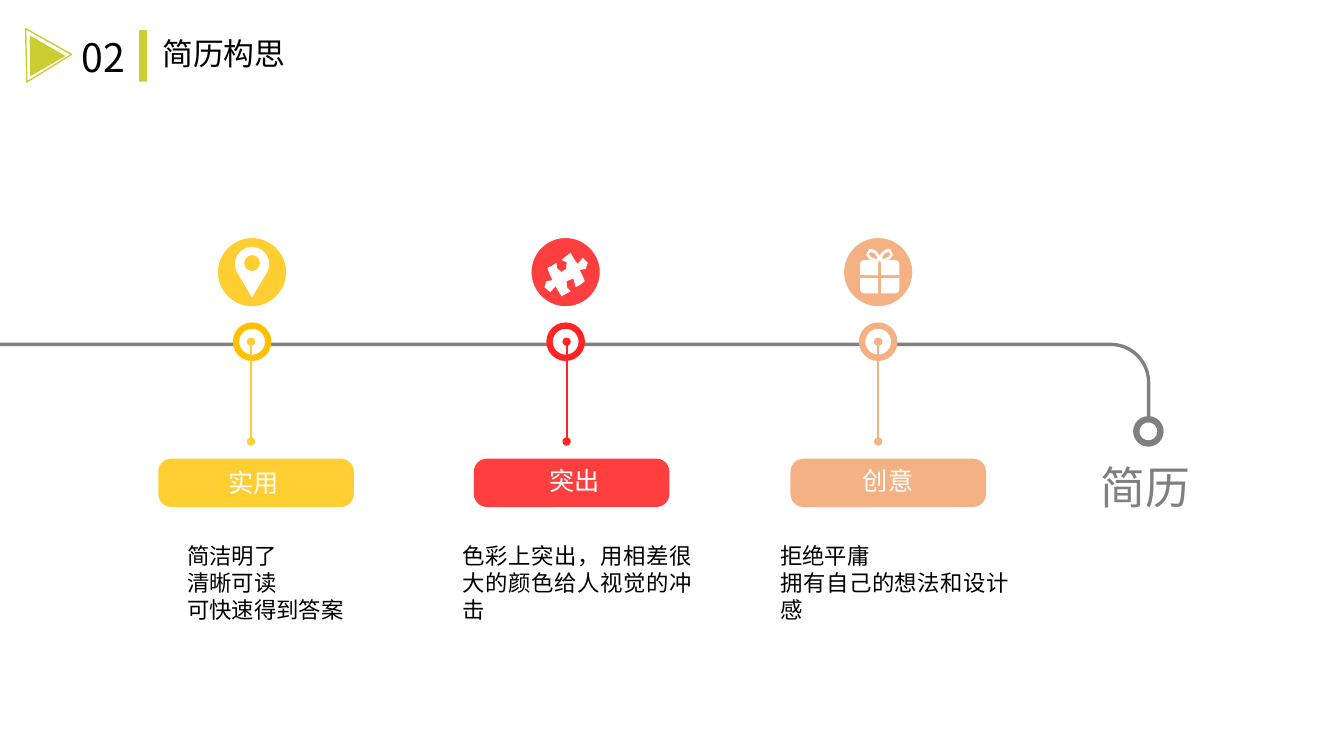
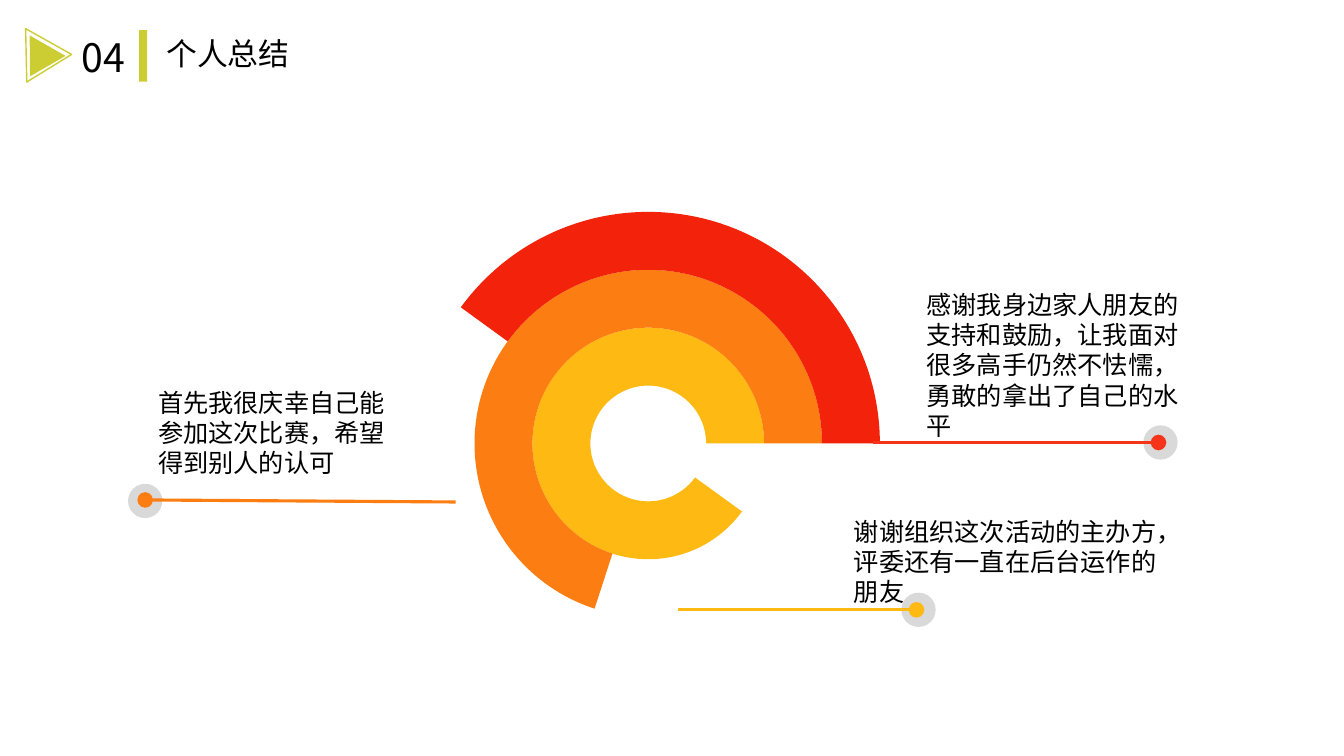
"""Build two slides: a resume-planning timeline and a personal summary."""
from math import cos, radians, sin

from lxml import etree
from pptx import Presentation
from pptx.chart.data import CategoryChartData
from pptx.dml.color import RGBColor
from pptx.enum.chart import XL_CHART_TYPE
from pptx.enum.lang import MSO_LANGUAGE_ID
from pptx.enum.shapes import MSO_CONNECTOR, MSO_SHAPE
from pptx.enum.text import MSO_ANCHOR, PP_ALIGN
from pptx.oxml.ns import qn
from pptx.util import Inches, Pt

OVAL, RECT = MSO_SHAPE.OVAL, MSO_SHAPE.RECTANGLE
PILL, TRIANGLE = MSO_SHAPE.ROUNDED_RECTANGLE, MSO_SHAPE.ISOSCELES_TRIANGLE
BENT_ARROW = MSO_SHAPE.BENT_ARROW
STRAIGHT = MSO_CONNECTOR.STRAIGHT
DOUGHNUT = XL_CHART_TYPE.DOUGHNUT
LEFT, JUSTIFY = PP_ALIGN.LEFT, PP_ALIGN.JUSTIFY
TOP = MSO_ANCHOR.TOP
CHINESE = MSO_LANGUAGE_ID.SIMPLIFIED_CHINESE

BODY_FONT, NUMBER_FONT = "Arial", "Noto Sans CJK SC"
COLORS = {
    "black": "000000", "white": "FFFFFF", "lime": "CCCC33",
    "road": "808080", "goal": "7F7F7F", "halo": "D9D9D9",
    "gold": "FFCE33", "gold_ring": "FFC000",
    "red": "FF3F3F", "red_ring": "FF2525", "peach": "F4B183",
    "chart_yellow": "FEB912", "chart_orange": "FC7E13",
    "chart_red": "F2230A", "line_red": "F6341A",
}
MILESTONES = [
    {"label": "实用", "fill": "gold", "ring": "gold_ring", "stem": "gold",
     "x": 2.5, "stem_x": 2.49, "pill_x": 1.57, "label_at": (2.17, 4.59),
     "text_x": 1.76, "text": "简洁明了\n清晰可读\n可快速得到答案"},
    {"label": "突出", "fill": "red", "ring": "red_ring", "stem": "red_ring",
     "x": 5.61, "stem_x": 5.62, "pill_x": 4.7, "label_at": (5.35, 4.57),
     "text_x": 4.49, "text": "色彩上突出，用相差很大的颜色给人视觉的冲击"},
    {"label": "创意", "fill": "peach", "ring": "peach", "stem": "peach",
     "x": 8.71, "stem_x": 8.71, "pill_x": 7.84, "label_at": (8.46, 4.57),
     "text_x": 7.64, "text": "拒绝平庸\n拥有自己的想法和设计感"},
]
CALLOUTS = [
    ((8.66, 4.39), (11.49, 4.39), (11.51, 4.39), "line_red", (9.09, 2.82, 2.89, 1.61),
     "感谢我身边家人朋友的支持和鼓励，让我面对很多高手仍然不怯懦，勇敢的拿出了自己的水平"),
    ((4.52, 4.98), (1.44, 4.96), (1.44, 4.97), "chart_orange", (1.47, 3.79, 2.54, 1.01),
     "首先我很庆幸自己能参加这次比赛，希望得到别人的认可"),
    ((6.72, 6.05), (9.09, 6.05), (9.11, 6.05), "chart_yellow", (8.37, 5.07, 3.31, 1.01),
     "谢谢组织这次活动的主办方，评委还有一直在后台运作的朋友"),
]
RINGS = [
    ((10, 90, 0, 0), {0: None, 1: "chart_yellow"}),
    ((0, 30, 70, 0), {1: None, 2: "chart_orange"}),
    ((0, 0, 60, 40), {2: None, 3: "chart_red"}),
    ((None,) * 4, {}),
]
PUZZLE = [
    (5.66, 2.51),
    (5.68, 2.54, 5.71, 2.61, 5.73, 2.62),
    (5.74, 2.55, 5.82, 2.53, 5.83, 2.61), (5.85, 2.69, 5.78, 2.66, 5.75, 2.68),
    (5.77, 2.72, 5.79, 2.75, 5.8, 2.79), (5.78, 2.81, 5.74, 2.84, 5.71, 2.85),
    (5.72, 2.77, 5.67, 2.72, 5.62, 2.79),
    (5.57, 2.84, 5.67, 2.87, 5.66, 2.89), (5.63, 2.91, 5.6, 2.92, 5.57, 2.94),
    (5.55, 2.91, 5.53, 2.87, 5.51, 2.84),
    (5.49, 2.89, 5.43, 2.94, 5.4, 2.85), (5.38, 2.78, 5.44, 2.79, 5.48, 2.78),
    (5.46, 2.74, 5.44, 2.7, 5.43, 2.66),
    (5.45, 2.65, 5.49, 2.63, 5.52, 2.61), (5.54, 2.63, 5.5, 2.7, 5.57, 2.7),
    (5.61, 2.7, 5.64, 2.64, 5.62, 2.6), (5.6, 2.59, 5.58, 2.59, 5.57, 2.58),
    (5.6, 2.55, 5.63, 2.53, 5.66, 2.51),
]
BOW_HOLE = [
    (8.81, 2.5),
    (8.82, 2.5, 8.83, 2.51, 8.83, 2.52),
    (8.83, 2.53, 8.82, 2.54, 8.81, 2.55), (8.8, 2.56, 8.77, 2.57, 8.75, 2.57),
    (8.75, 2.56, 8.75, 2.54, 8.77, 2.52), (8.78, 2.51, 8.8, 2.5, 8.81, 2.5),
]
BOW_EDGE = [
    (8.81, 2.47),
    (8.79, 2.47, 8.77, 2.48, 8.75, 2.5), (8.72, 2.52, 8.7, 2.57, 8.73, 2.6),
    (8.75, 2.6, 8.81, 2.59, 8.83, 2.57),
    (8.86, 2.55, 8.87, 2.51, 8.84, 2.49), (8.84, 2.47, 8.82, 2.47, 8.81, 2.47),
]


def color(name):
    """Return the named colour."""
    return RGBColor.from_string(COLORS[name])


def paint(sp, fill=None, line=None, width=1):
    """Set fill and outline, with no shadow."""
    sp.shadow.inherit = False
    if fill:
        sp.fill.solid()
        sp.fill.fore_color.rgb = color(fill)
    else:
        sp.fill.background()
    if line:
        sp.line.color.rgb = color(line)
        sp.line.width = Pt(width)
    else:
        sp.line.fill.background()
    return sp


def add_shape(shapes, kind, box, adj=(), rotation=0, **style):
    """Add a painted preset shape."""
    sp = shapes.add_shape(kind, *map(Inches, box))
    for i, value in enumerate(adj):
        sp.adjustments[i] = value
    sp.rotation = rotation
    return paint(sp, **style)


def add_circle(shapes, x, y, size, **style):
    """Add a circle around a centre point."""
    return add_shape(shapes, OVAL, (x - size / 2, y - size / 2, size, size), **style)


def add_outline(shapes, *contours):
    """Add a white freeform made of closed contours."""
    paths = [[(Inches(x), Inches(y)) for x, y in points] for points in contours]
    builder = shapes.build_freeform(*paths[0][0])
    for i, points in enumerate(paths):
        if i:
            builder.move_to(*points[0])
        builder.add_line_segments(points[1:])
    return paint(builder.convert_to_shape(), "white")


def add_line(shapes, start, end, name, width, ends, size="med"):
    """Add a straight line with oval ends."""
    line = shapes.add_connector(STRAIGHT, *map(Inches, start + end))
    line.line.color.rgb = color(name)
    line.line.width = Pt(width)
    ln = line.element.spPr.find(qn("a:ln"))
    for end_name in ends:
        etree.SubElement(ln, qn(f"a:{end_name}"), type="oval", w=size, len=size)
    etree.SubElement(line.element.spPr, qn("a:effectLst"))


def write(tf, text, size=16, name="black", font=BODY_FONT, align=LEFT):
    """Write formatted paragraphs into a text frame."""
    tf.word_wrap = True
    tf.vertical_anchor = TOP
    for i, line in enumerate(text.split("\n")):
        p = tf.add_paragraph() if i else tf.paragraphs[0]
        p.alignment = align
        p.line_spacing = Pt(size * 1.2)
        p.space_before = Pt(0)
        r = p.add_run()
        r.text = line
        r.font.name = font
        r.font.size = Pt(size)
        r.font.color.rgb = color(name)
        r.font.language_id = CHINESE


def add_text(shapes, box, text, **style):
    """Add a text box."""
    write(shapes.add_textbox(*map(Inches, box)).text_frame, text, **style)


def arc(x, y, radius, start, end, steps):
    """Return points along a circular arc, in degrees."""
    angles = [radians(start + (end - start) * i / steps) for i in range(steps + 1)]
    return [(x + radius * cos(a), y + radius * sin(a)) for a in angles]


def bezier(curves, steps=2):
    """Return points along a start point and its cubic curves."""
    points = [curves[0]]
    for x1, y1, x2, y2, x3, y3 in curves[1:]:
        x0, y0 = points[-1]
        for t in (i / steps for i in range(1, steps + 1)):
            u = 1 - t
            a, b, c, d = u ** 3, 3 * u * u * t, 3 * u * t * t, t ** 3
            points.append((a * x0 + b * x1 + c * x2 + d * x3,
                           a * y0 + b * y1 + c * y2 + d * y3))
    return points


def mirror(points, x_axis=None, y_axis=None):
    """Reflect points about a vertical and a horizontal axis."""
    return [(x if x_axis is None else 2 * x_axis - x,
             y if y_axis is None else 2 * y_axis - y) for x, y in points]


def draw_pin(shapes):
    """Draw a map pin."""
    add_outline(shapes, arc(2.5, 2.62, 0.17, 155, 385, 12) + [(2.5, 2.95)],
                arc(2.5, 2.61, 0.08, 360, 0, 12))


def draw_puzzle(shapes):
    """Draw a puzzle piece."""
    add_outline(shapes, bezier(PUZZLE))


def draw_gift(shapes):
    """Draw a gift box with a bow."""
    x, y = (8.71 + 8.74) / 2, (2.73 + 2.76) / 2
    loop = [bezier(BOW_EDGE), bezier(BOW_HOLE)]
    quarter = [(8.74, 2.76), (8.92, 2.76), *arc(8.88, 2.87, 0.04, 0, 90, 2), (8.74, 2.91)]
    for x_axis in (None, x):
        add_outline(shapes, *(mirror(points, x_axis) for points in loop))
        for y_axis in (None, y):
            add_outline(shapes, mirror(quarter, x_axis, y_axis))


def add_slide(prs, number, title, title_x, title_width):
    """Add a slide with the shared header."""
    s = prs.slides.add_slide(prs.slide_layouts[5])
    add_shape(s.shapes, RECT, (1.38, 0.3, 0.08, 0.51), fill="lime")
    add_text(s.shapes, (0.71, 0.28, 0.75, 0.57), number, size=28, font=NUMBER_FONT)
    logo = s.shapes.add_group_shape().shapes
    add_shape(logo, TRIANGLE, (0.22, 0.32, 0.53, 0.45), rotation=88.8, line="lime")
    add_shape(logo, TRIANGLE, (0.18, 0.43, 0.41, 0.35), rotation=209.8, fill="lime")
    sp = s.shapes.title
    sp.left, sp.top, sp.width, sp.height = map(Inches, (title_x, 0.29, title_width, 0.47))
    write(sp.text_frame, title, size=22)
    return s


def add_milestone(s, item, draw_icon):
    """Add one stop of the timeline."""
    x = item["x"]
    add_circle(s.shapes, x, 3.39, 0.32, fill="white", line=item["ring"], width=4.5)
    icon = s.shapes.add_group_shape().shapes
    add_circle(icon, x, 2.7, 0.74, fill=item["fill"], line="white", width=4.5)
    draw_icon(icon)
    add_line(s.shapes, (item["stem_x"], 3.39), (item["stem_x"], 4.38), item["stem"],
             1.5, ("headEnd", "tailEnd"))
    tag = s.shapes.add_group_shape().shapes
    add_shape(tag, PILL, (item["pill_x"], 4.55, 1.94, 0.48), [0.27], fill=item["fill"])
    add_text(tag, (*item["label_at"], 2.24, 0.4), item["label"], size=18, name="white")
    add_text(s.shapes, (item["text_x"], 5.33, 2.47, 0.91), item["text"], align=JUSTIFY)


def add_rings(s):
    """Add the doughnut chart of partial rings."""
    data = CategoryChartData()
    data.categories = ["1", "2", "3", "4"]
    for i, (values, _) in enumerate(RINGS, 1):
        data.add_series(f"Series {i}", values)
    chart = s.shapes.add_chart(DOUGHNUT, *map(Inches, (1.98, 1.39, 8.9, 6.02)), data).chart
    chart.has_legend = chart.has_title = False
    chart.font.name, chart.font.size = BODY_FONT, Pt(10)
    chart.font.color.rgb = color("black")
    plot = chart.plots[0]
    plot.vary_by_categories = True
    plot.has_data_labels = False
    for tag, value in (("firstSliceAng", "90"), ("holeSize", "50")):
        next(chart.element.iter(qn(f"c:{tag}"))).set("val", value)
    for series, (_, fills) in zip(plot.series, RINGS):
        for i, name in fills.items():
            paint_slice(series.points[i].format, name)


def paint_slice(style, name):
    """Fill a chart slice, or clear it, with no outline."""
    style.line.fill.background()
    if name:
        style.fill.solid()
        style.fill.fore_color.rgb = color(name)
    else:
        style.fill.background()


def build_timeline(prs):
    """Build the timeline slide."""
    s = add_slide(prs, "02", "简历构思", 1.51, 1.55)
    road = add_shape(s.shapes, BENT_ARROW, (-0.02, 3.4, 11.43, 0.84),
                     (0.05, 0.02, 0, 0.47), fill="road")
    road.element.spPr.find(qn("a:xfrm")).set("flipH", "1")
    for item, icon in zip(MILESTONES, (draw_pin, draw_puzzle, draw_gift)):
        add_milestone(s, item, icon)
    add_circle(s.shapes, 11.39, 4.28, 0.24, fill="white", line="road", width=4.5)
    add_text(s.shapes, (10.82, 4.51, 1.53, 0.64), "简历", size=32, name="goal")


def build_summary(prs):
    """Build the summary slide."""
    s = add_slide(prs, "04", "个人总结", 1.55, 2.18)
    add_rings(s)
    for start, end, halo, name, box, text in CALLOUTS:
        add_circle(s.shapes, *halo, 0.34, fill="halo")
        add_line(s.shapes, start, end, name, 2.25, ["tailEnd"], "lg")
        add_text(s.shapes, box, text, size=18)


def main():
    """Build and save the presentation."""
    prs = Presentation()
    prs.slide_width, prs.slide_height = Inches(13.33), Inches(7.5)
    build_timeline(prs)
    build_summary(prs)
    prs.save("out.pptx")


if __name__ == "__main__":
    main()
